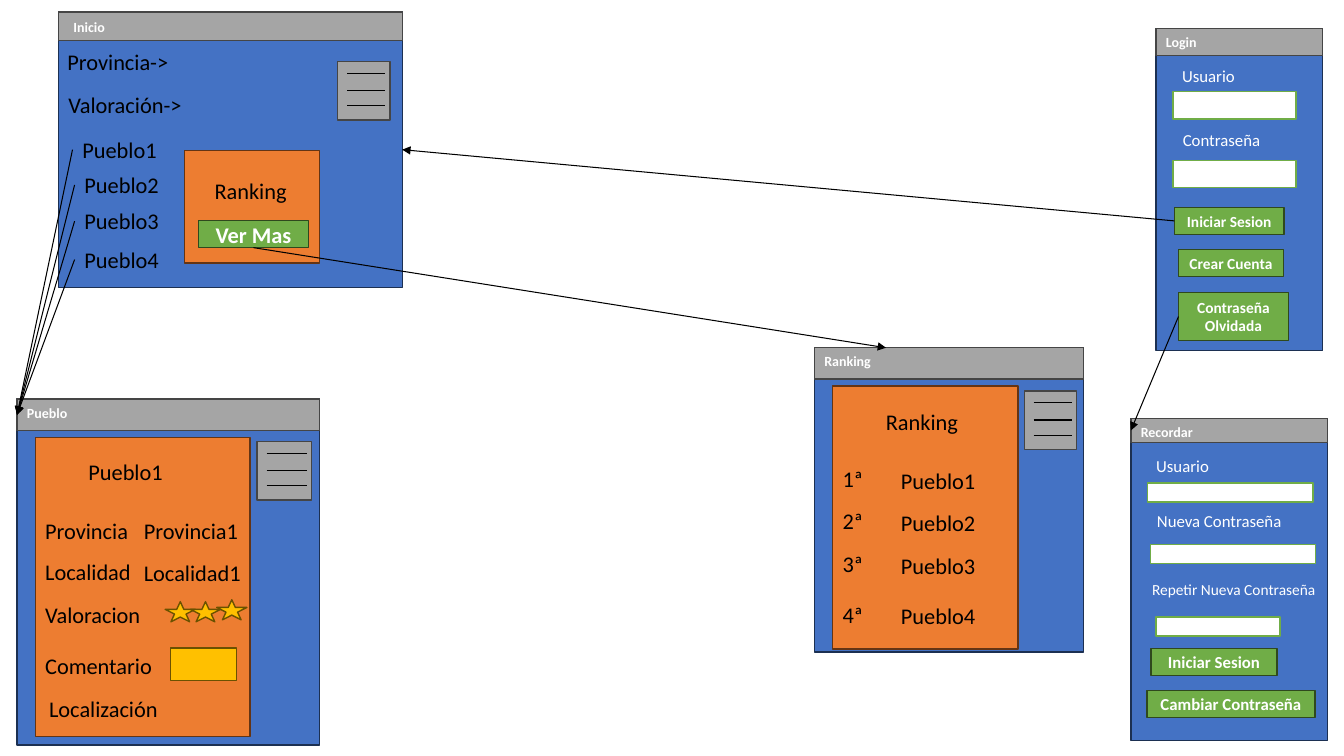
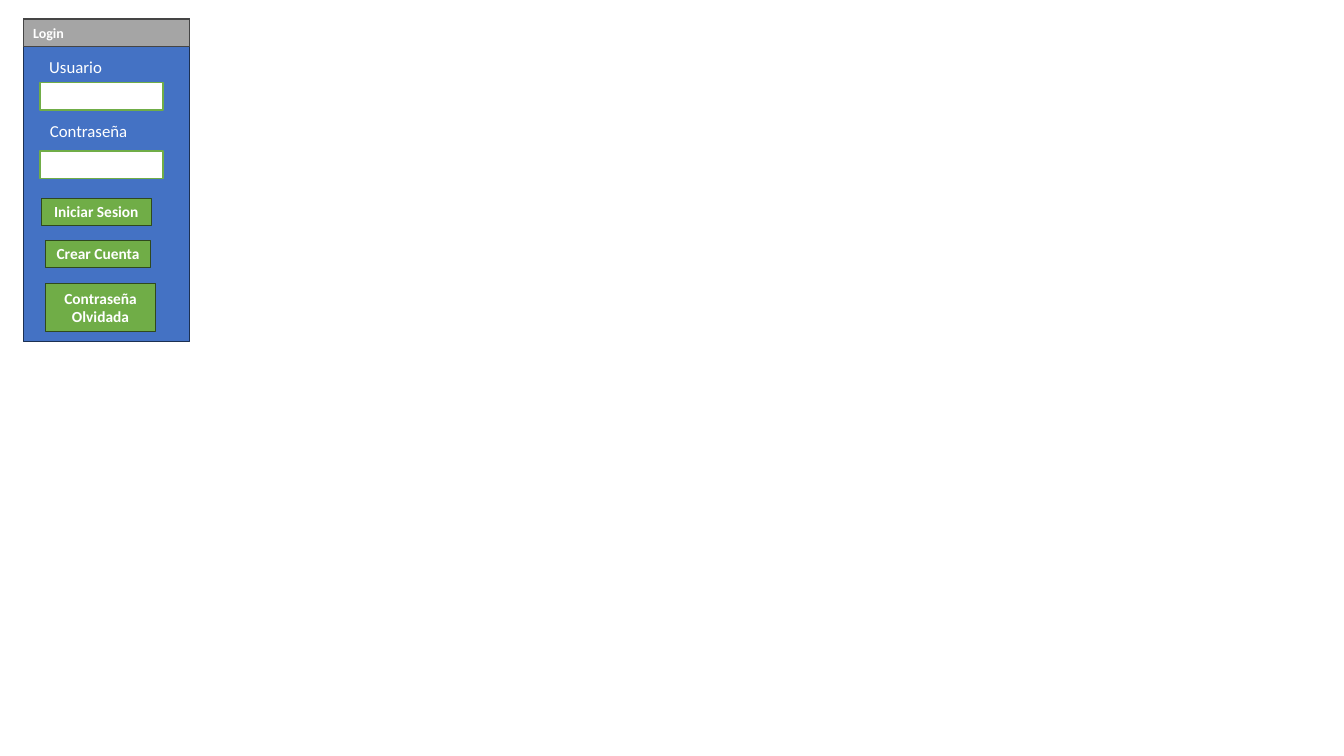
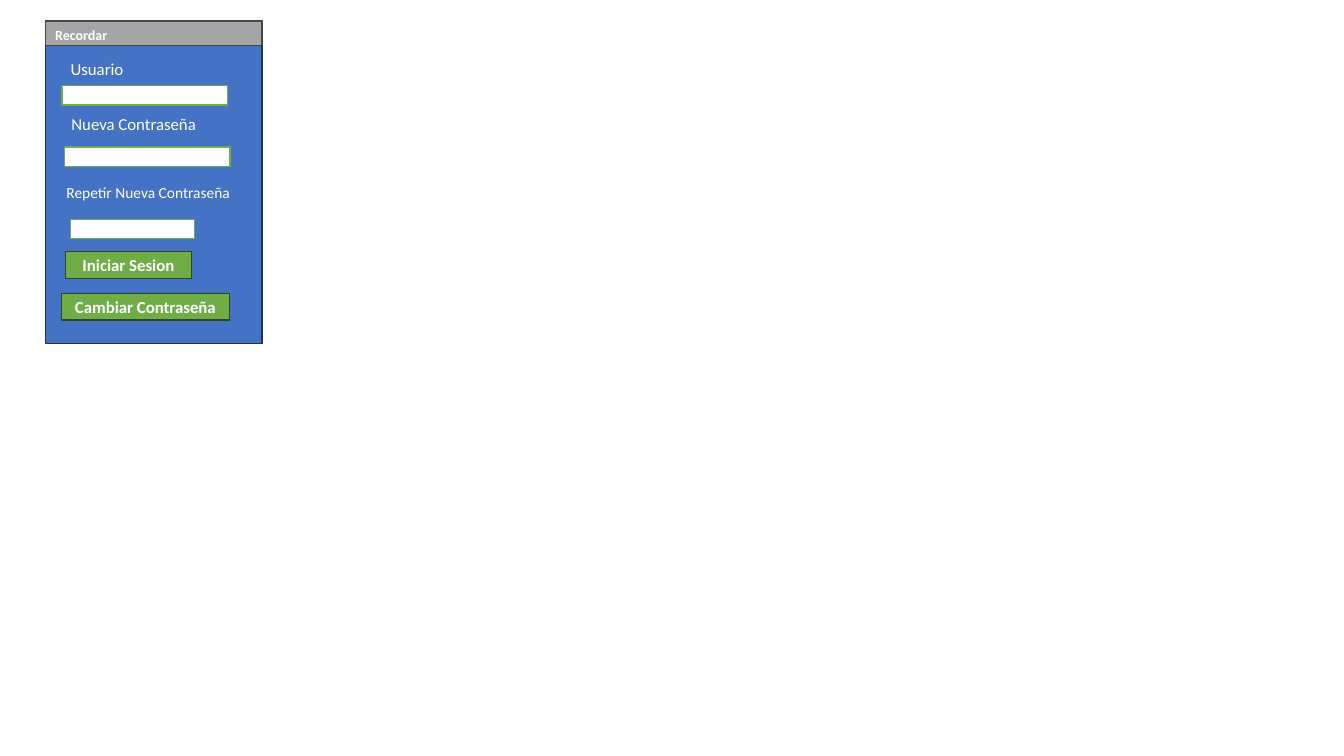
from lxml import etree
from pptx import Presentation
from pptx.dml.color import RGBColor
from pptx.enum.shapes import MSO_CONNECTOR as Connector, MSO_SHAPE as Preset
from pptx.enum.text import MSO_ANCHOR as Anchor, PP_ALIGN as Align
from pptx.oxml.ns import qn
from pptx.util import Pt

FONT = "Calibri"
BLACK = RGBColor(0x00, 0x00, 0x00)
WHITE = RGBColor(0xFF, 0xFF, 0xFF)
BLUE, BLUE_EDGE = RGBColor(0x44, 0x72, 0xC4), RGBColor(0x1C, 0x30, 0x52)
GRAY, GRAY_EDGE = RGBColor(0xA5, 0xA5, 0xA5), RGBColor(0x45, 0x45, 0x45)
ORANGE, ORANGE_EDGE = RGBColor(0xED, 0x7D, 0x31), RGBColor(0x64, 0x34, 0x14)
GREEN, GREEN_EDGE = RGBColor(0x70, 0xAD, 0x47), RGBColor(0x2F, 0x49, 0x1D)
GOLD, GOLD_EDGE = RGBColor(0xFF, 0xC0, 0x00), RGBColor(0x6B, 0x51, 0x00)

TOP, LEFT, BOTTOM, RIGHT = range(4)
ROW_TOPS = (80.6, 110.2, 141.1, 177.1)


def write_text(shape, text, size=16, color=BLACK, bold=False,
               align=Align.LEFT, anchor=Anchor.TOP):
    frame = shape.text_frame
    frame.word_wrap = True
    frame.vertical_anchor = anchor
    paragraph = frame.paragraphs[0]
    paragraph.alignment = align
    run = paragraph.add_run()
    run.text = text
    run.font.name = FONT
    run.font.size = Pt(size)
    run.font.bold = bold
    run.font.color.rgb = color


class Wireframe:
    """Draws app windows; element positions count from the current window's corner."""

    def __init__(self):
        self.presentation = Presentation()
        self.presentation.slide_width = Pt(960)
        self.presentation.slide_height = Pt(540)

    def new_slide(self):
        layout = self.presentation.slide_layouts[6]
        self.shapes = self.presentation.slides.add_slide(layout).shapes

    def place(self, left, top):
        return Pt(self.left + left), Pt(self.top + top)

    def box(self, left, top, width, height, fill, edge, preset=Preset.RECTANGLE):
        shape = self.shapes.add_shape(preset, *self.place(left, top), Pt(width), Pt(height))
        shape.shadow.inherit = False
        shape.fill.solid()
        shape.fill.fore_color.rgb = fill
        shape.line.color.rgb = edge
        shape.line.width = Pt(1)
        return shape

    def label(self, text, left, top, width=86, size=16, **text_format):
        shape = self.shapes.add_textbox(*self.place(left, top), Pt(width), Pt(size * 1.2 + 7.4))
        write_text(shape, text, size=size, **text_format)
        return shape

    def window(self, title, left, top, width, height, bar_height, title_offset=(0, 0)):
        """Start a window and return its body and its title bar."""
        self.left, self.top = left, top
        body = self.box(0, 0, width, height, BLUE, BLUE_EDGE)
        bar = self.box(0, 0, width, bar_height, GRAY, GRAY_EDGE)
        self.label(title, *title_offset, width=103, size=10, color=WHITE, bold=True)
        return body, bar

    def panel(self, left, top, width, height):
        return self.box(left, top, width, height, ORANGE, ORANGE_EDGE)

    def button(self, text, left, top, width, height=19.2, size=11):
        shape = self.box(left, top, width, height, GREEN, GREEN_EDGE)
        write_text(shape, text, size=size, color=WHITE, bold=True,
                   align=Align.CENTER, anchor=Anchor.MIDDLE)
        return shape

    def field(self, left, top, width, height):
        return self.box(left, top, width, height, WHITE, GREEN)

    def line(self, start=(0, 0), end=(0, 0)):
        connector = self.shapes.add_connector(
            Connector.STRAIGHT, *self.place(*start), *self.place(*end))
        connector.line.color.rgb = BLACK
        connector.line.width = Pt(0.75)
        etree.SubElement(connector._element.spPr, qn("a:effectLst"))
        return connector

    def arrow(self, source, source_side, target=None, target_side=None, end=(0, 0)):
        """Join two shapes, or lead from a shape to the point end."""
        connector = self.line(end=end)
        connector.begin_connect(source, source_side)
        if target is not None:
            connector.end_connect(target, target_side)
        outline = connector.line._get_or_add_ln()
        etree.SubElement(outline, qn("a:tailEnd"), type="triangle")

    def menu(self, left, top, width=37.4):
        self.box(left, top, width, 41.8, GRAY, GRAY_EDGE)
        for offset in (8.4, 20.6, 31.4):
            self.line((left + 6.8, top + offset), (left + width - 3.4, top + offset))

    def login(self, left, top):
        """Draw the login window; return the buttons that lead elsewhere."""
        self.window("Login", left, top, 119, 230.4, 19.4)
        self.label("Usuario", 11.5, 23, size=12, color=WHITE)
        self.label("Contraseña", 12, 69, size=12, color=WHITE)
        for field_top in (45.4, 94.3):
            self.field(12, field_top, 88, 19.4)
        sign_in = self.button("Iniciar Sesion", 13, 128, 78.5)
        self.button("Crear Cuenta", 16, 158, 75)
        forgotten = self.button("Contraseña Olvidada", 16, 188.6, 78.5, height=34.6)
        return sign_in, forgotten

    def remember(self, left, top, width):
        """Draw the password reset window and return its title bar."""
        _, bar = self.window("Recordar", left, top, width, 230.4, 17.3)
        self.label("Usuario", 11, 23, size=12, color=WHITE)
        self.label("Nueva Contraseña", 11.5, 62.8, width=121, size=12, color=WHITE)
        self.label("Repetir Nueva Contraseña", 8, 112.2, width=133, size=11, color=WHITE)
        for field_left, field_top, field_width in (
                (12, 46.1, 118), (13.9, 90, 118), (18, 141.8, 88.6)):
            self.field(field_left, field_top, field_width, 13.7)
        self.button("Iniciar Sesion", 14.4, 164.5, 90, size=12)
        self.button("Cambiar Contraseña", 11.5, 194.4, 120, size=12)
        return bar

    def home(self, left, top):
        """Draw the start window; return its body, town labels and button."""
        body, _ = self.window("Inicio", left, top, 245.5, 196.6, 20.2, title_offset=(3.6, 1.4))
        self.label("Provincia->", -0.7, 22.3, width=106)
        self.label("Valoración->", 0, 53.3, width=106)
        towns = [self.label(f"Pueblo{number}", town_left, town_top)
                 for number, (town_left, town_top) in enumerate(
                     ((10, 85), (11.5, 110.2), (11.5, 136.1), (11.5, 163.5)), 1)]
        self.panel(90, 98.7, 96.5, 80.6)
        self.label("Ranking", 104.4, 114.5)
        more = self.button("Ver Mas", 100, 149.1, 78.5, size=16)
        self.menu(199.4, 35.3)
        return body, towns, more

    def ranking(self, left, top):
        self.window("Ranking", left, top, 192.2, 217.4, 22.3)
        self.menu(149.8, 31)
        self.panel(13, 27.4, 132.5, 187.9)
        self.label("Ranking", 43.9, 39.6)
        for number, row_top in enumerate(ROW_TOPS, 1):
            self.label(f"{number}ª", 13, row_top, width=42)
            self.label(f"Pueblo{number}", 54.7, row_top + 1.4)

    def town(self, left, top):
        """Draw the town window and return its title bar."""
        _, bar = self.window("Pueblo", left, top, 216, 247, 22.3)
        self.menu(171.4, 30.3, width=38.9)
        self.panel(13, 27.4, 153.4, 213.8)
        self.label("Pueblo1", 43.9, 38.9)
        for text, row_top in zip(("Provincia", "Localidad", "Valoracion", "Comentario"), ROW_TOPS):
            self.label(text, 13, row_top, width=94)
        self.label("Localización", 15.8, 208.1, width=94)
        for text, row_top in zip(("Provincia1", "Localidad1"), ROW_TOPS):
            self.label(text, 83.5, row_top + 0.4)
        self.box(109.4, 177.8, 47.5, 23, GOLD, GOLD_EDGE)
        for star_left, star_top in ((105.8, 144.7), (123.8, 144.7), (142.6, 143.3)):
            self.box(star_left, star_top, 21.6, 14.4, GOLD, GOLD_EDGE, Preset.STAR_5_POINT)
        return bar


def main():
    wireframe = Wireframe()

    wireframe.new_slide()
    home_body, towns, more = wireframe.home(41.8, 8.6)
    sign_in, forgotten = wireframe.login(825.8, 20.2)
    remember_bar = wireframe.remember(807.8, 298.8, 140.4)
    town_bar = wireframe.town(12.2, 285.1)
    wireframe.ranking(581.8, 248.4)
    wireframe.arrow(more, BOTTOM, end=(51.1, 0))
    wireframe.arrow(sign_in, LEFT, home_body, RIGHT)
    wireframe.arrow(forgotten, LEFT, remember_bar, LEFT)
    for town in towns:
        wireframe.arrow(town, LEFT, town_bar, LEFT)

    wireframe.new_slide()
    wireframe.login(16.6, 13.7)

    wireframe.new_slide()
    wireframe.remember(32.4, 15.1, 154.8)

    wireframe.presentation.save("out.pptx")


if __name__ == "__main__":
    main()
